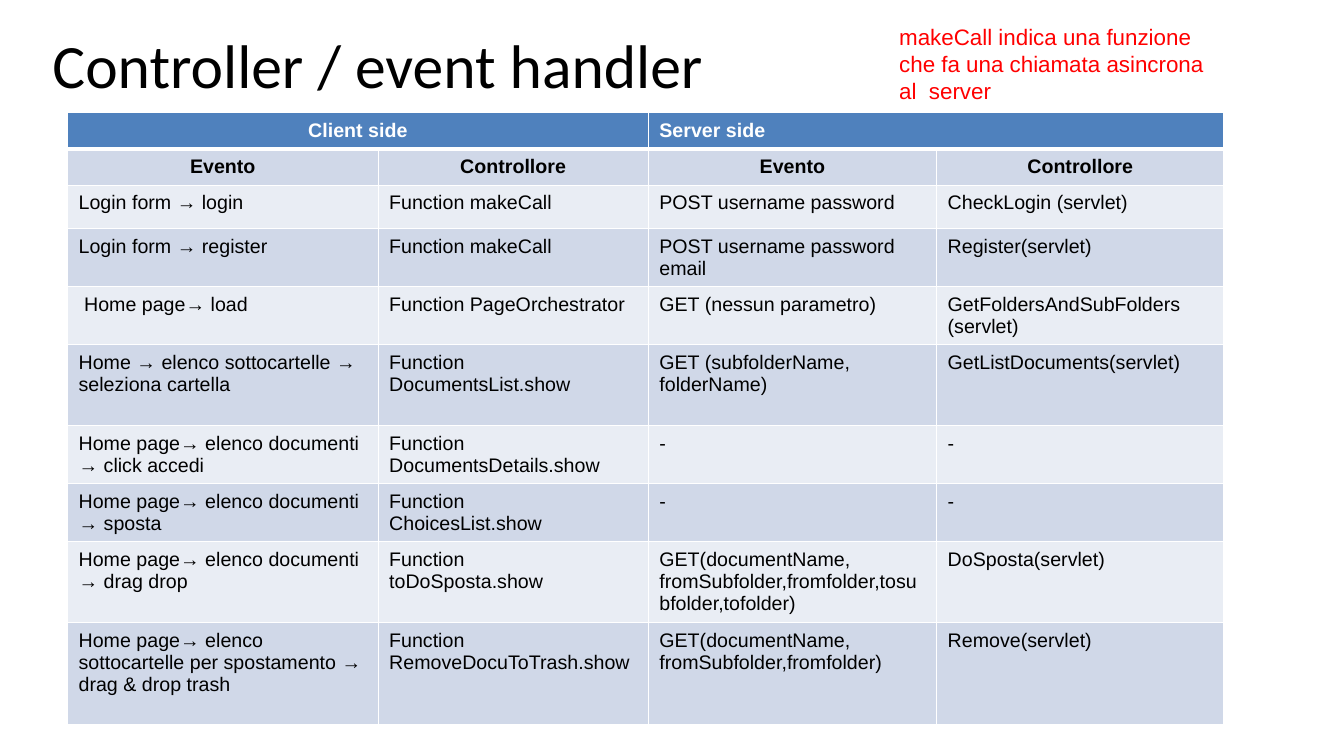
from pptx import Presentation
from pptx.dml.color import RGBColor
from pptx.enum.text import MSO_ANCHOR, MSO_AUTO_SIZE, PP_ALIGN
from pptx.oxml import parse_xml
from pptx.oxml.ns import nsdecls
from pptx.util import Inches, Pt

COLS = [3.08, 2.68, 2.86, 2.85]
HEIGHTS = [0.33, 0.35, 0.43, 0.57, 0.57, 0.8, 0.57, 0.57, 0.8, 1.02]
ROWS = [
    ["Client side", None, "Server side", None],
    ["Evento", "Controllore", "Evento", "Controllore"],
    ["Login form → login", "Function makeCall",
     "POST username password", "CheckLogin (servlet)"],
    ["Login form → register", "Function makeCall",
     "POST username password\nemail", "Register(servlet)"],
    [" Home page→ load", "Function PageOrchestrator",
     "GET (nessun parametro)", "GetFoldersAndSubFolders (servlet)"],
    ["Home → elenco sottocartelle → seleziona cartella",
     "Function DocumentsList.show",
     "GET (subfolderName, folderName)", "GetListDocuments(servlet)"],
    ["Home page→ elenco documenti → click accedi",
     "Function DocumentsDetails.show", "-", "-"],
    ["Home page→ elenco documenti → sposta",
     "Function\nChoicesList.show", "-", "-"],
    ["Home page→ elenco documenti → drag drop",
     "Function\ntoDoSposta.show",
     "GET(documentName, fromSubfolder,fromfolder,tosubfolder,tofolder)",
     "DoSposta(servlet)"],
    ["Home page→ elenco sottocartelle per spostamento → drag & drop trash",
     "Function\nRemoveDocuToTrash.show",
     "GET(documentName, fromSubfolder,fromfolder)", "Remove(servlet)"],
]


def color(value):
    """Turn a hex string into a colour."""
    return RGBColor.from_string(value)


class SlideBuilder:
    """Hold the style and the current slide."""

    header, bands, border = "4F81BD", ("E9EDF4", "D0D8E8"), "FFFFFF"

    def __init__(self, prs):
        """Add a title-only slide."""
        self.s = prs.slides.add_slide(prs.slide_layouts[5])

    def text(self, tf, text, hue, align=PP_ALIGN.LEFT, **fmt):
        """Set text and format every paragraph."""
        tf.text = text
        tf.word_wrap = True
        for p in tf.paragraphs:
            p.alignment = align
            for r in p.runs:
                for name, value in fmt.items():
                    setattr(r.font, name, value)
                r.font.color.rgb = color(hue)

    def place(self, sp, box):
        """Move and size a shape."""
        for name, value in zip(("left", "top", "width", "height"), box):
            setattr(sp, name, Inches(value))

    def title(self, text, box):
        """Fill the title placeholder."""
        sp = self.s.shapes.title
        self.place(sp, box)
        tf = sp.text_frame
        self.text(tf, text, "000000", size=Pt(44), name="Calibri")
        frame = {"auto_size": MSO_AUTO_SIZE.NONE,
                 "vertical_anchor": MSO_ANCHOR.MIDDLE,
                 "margin_left": Inches(0.12), "margin_right": Inches(0.12),
                 "margin_top": Inches(0.06), "margin_bottom": Inches(0.06)}
        for name, value in frame.items():
            setattr(tf, name, value)

    def note(self, text, box):
        """Add a red text box."""
        sp = self.s.shapes.add_textbox(*map(Inches, box))
        self.text(sp.text_frame, text, "FF0000", size=Pt(16), name="Arial")
        sp.text_frame.auto_size = MSO_AUTO_SIZE.SHAPE_TO_FIT_TEXT

    def borders(self, cell, bottom):
        """Draw the four cell borders ahead of the fill."""
        tc_pr = cell._tc.get_or_add_tcPr()
        widths = {"lnL": 1, "lnR": 1, "lnT": 1, "lnB": bottom}
        for i, (tag, width) in enumerate(widths.items()):
            tc_pr.insert(i, parse_xml(
                f'<a:{tag} {nsdecls("a")} w="{Pt(width)}"><a:solidFill>'
                f'<a:srgbClr val="{self.border}"/></a:solidFill></a:{tag}>'))

    def cell(self, cell, text, row, centred):
        """Fill and format one cell."""
        if text is not None:
            self.text(cell.text_frame, text, "000000" if row else "FFFFFF",
                      PP_ALIGN.CENTER if centred else PP_ALIGN.LEFT,
                      size=Pt(14), name="Arial", bold=row < 2)
        margins = {"margin_left": 0.11, "margin_right": 0.11,
                   "margin_top": 0.07, "margin_bottom": 0.07}
        for name, value in margins.items():
            setattr(cell, name, Inches(value))
        cell.fill.solid()
        cell.fill.fore_color.rgb = color(self.bands[row % 2] if row else self.header)
        self.borders(cell, 1 if row else 3)

    def table(self, rows, cols, heights, left, top):
        """Add the banded table with a merged header row."""
        size = (left, top, sum(cols), sum(heights))
        tbl = self.s.shapes.add_table(len(rows), len(cols), *map(Inches, size)).table
        for col, width in zip(tbl.columns, cols):
            col.width = Inches(width)
        for row, height in zip(tbl.rows, heights):
            row.height = Inches(height)
        for start in (0, 2):
            tbl.cell(0, start).merge(tbl.cell(0, start + 1))
        for i, texts in enumerate(rows):
            for j, text in enumerate(texts):
                self.cell(tbl.cell(i, j), text, i, i == 1 or (i, j) == (0, 0))


def main():
    """Build and save the slide."""
    prs = Presentation()
    prs.slide_width, prs.slide_height = Inches(13.33), Inches(7.5)
    b = SlideBuilder(prs)
    b.title("Controller / event handler", (0.4, 0.01, 12, 1.25))
    b.table(ROWS, COLS, HEIGHTS, 0.67, 1.12)
    b.note("makeCall indica una funzione che fa una chiamata asincrona al  server",
           (8.82, 0.18, 3.31, 0.91))
    prs.save("out.pptx")


if __name__ == "__main__":
    main()
